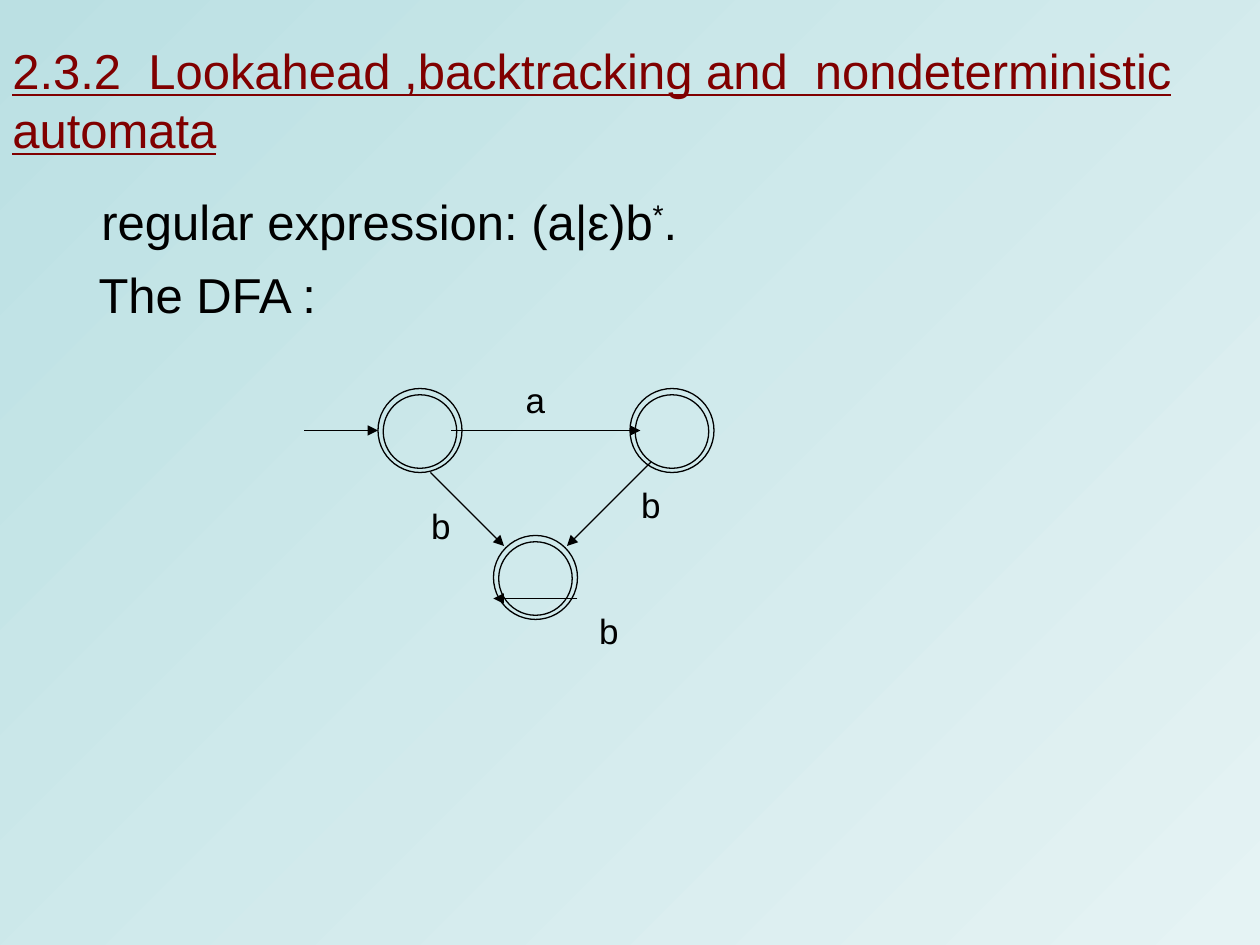
from typing import NamedTuple

from pptx import Presentation
from pptx.dml.color import RGBColor
from pptx.enum.shapes import MSO_CONNECTOR as Link, MSO_SHAPE as Shape
from pptx.enum.text import MSO_ANCHOR as Anchor, PP_ALIGN as Align
from pptx.oxml.ns import qn
from pptx.util import Pt

PX = 7620  # EMU per px, 120 px to the inch
INK = "000000"
RED = "800000"
OUTER, INNER = 80, 70


class State(NamedTuple):
    x: int
    y: int


class Arrow(NamedTuple):
    x1: int
    y1: int
    x2: int
    y2: int


class Label(NamedTuple):
    text: str
    x: int
    y: int


STATES = [State(360, 370), State(600, 370), State(470, 510)]
ARROWS = [
    Arrow(290, 410, 360, 410),
    Arrow(430, 410, 610, 410),
    Arrow(620, 440, 540, 520),
    Arrow(410, 450, 480, 520),
    Arrow(550, 570, 470, 570),
]
LABELS = [
    Label("a", 480, 360),
    Label("b", 590, 460),
    Label("b", 390, 480),
    Label("b", 550, 580),
]


def px(*sizes: int) -> list[int]:
    return [size * PX for size in sizes]


def color(code: str) -> RGBColor:
    return RGBColor.from_string(code)


def style(font, size: int, code: str = INK) -> None:
    font.name = "Arial"
    font.size = Pt(size)
    font.color.rgb = color(code)


def stroke(line) -> None:
    line.color.rgb = color(INK)
    line.width = Pt(0.75)


def draw_state(shapes, state: State) -> None:
    """Draw an accepting state as two rings."""
    for size, dx, dy in ((INNER, 5, 6), (OUTER, 0, 0)):
        ring = shapes.add_shape(
            Shape.OVAL, *px(state.x + dx, state.y + dy, size, size))
        ring.shadow.inherit = False
        ring.fill.background()
        stroke(ring.line)


def draw_arrow(shapes, arrow: Arrow) -> None:
    link = shapes.add_connector(Link.STRAIGHT, *px(*arrow))
    stroke(link.line)
    props = link._element.spPr
    head = props.find(qn("a:ln")).makeelement(
        qn("a:tailEnd"), {"type": "triangle"})
    props.find(qn("a:ln")).append(head)
    props.append(props.makeelement(qn("a:effectLst"), {}))


def draw_label(shapes, label: Label) -> None:
    frame = shapes.add_textbox(*px(label.x, label.y, 60, 40)).text_frame
    frame.word_wrap = False
    frame.vertical_anchor = Anchor.MIDDLE
    para = frame.paragraphs[0]
    para.text = label.text
    para.alignment = Align.CENTER
    style(para.font, 20)


def add_title(shapes) -> None:
    frame = shapes.add_textbox(*px(0, 60, 1200, 70)).text_frame
    frame.word_wrap = True
    frame.vertical_anchor = Anchor.MIDDLE
    para = frame.paragraphs[0]
    para.text = "2.3.2  Lookahead ,backtracking and  nondeterministic automata"
    style(para.font, 28, RED)
    para.font.underline = True


def add_body(shapes) -> None:
    frame = shapes.add_textbox(*px(70, 170, 1020, 170)).text_frame
    frame.word_wrap = True
    para = frame.paragraphs[0]
    para.alignment = Align.JUSTIFY
    for text, size in ((" ", 32), ("regular expression: (a|ε)b", 28),
                       ("*", 28), (".", 28)):
        run = para.add_run()
        run.text = text
        style(run.font, size)
        if text == "*":
            run.font._element.set("baseline", "30000")
    para = frame.add_paragraph()
    para.text = " The DFA :"
    para.space_before = Pt(7)
    style(para.font, 28)


def main() -> None:
    deck = Presentation()
    deck.slide_width, deck.slide_height = px(1200, 900)
    slide = deck.slides.add_slide(deck.slide_layouts[6])
    fill = slide.background.fill
    fill.gradient()
    fill.gradient_angle = 315
    for stop, code in zip(fill.gradient_stops, ("BBE0E3", "E5F3F4")):
        stop.color.rgb = color(code)

    add_title(slide.shapes)
    add_body(slide.shapes)
    graph = slide.shapes.add_group_shape().shapes
    for state in STATES:
        draw_state(graph, state)
    for arrow in ARROWS:
        draw_arrow(graph, arrow)
    for label in LABELS:
        draw_label(graph, label)
    deck.save("out.pptx")


if __name__ == "__main__":
    main()
